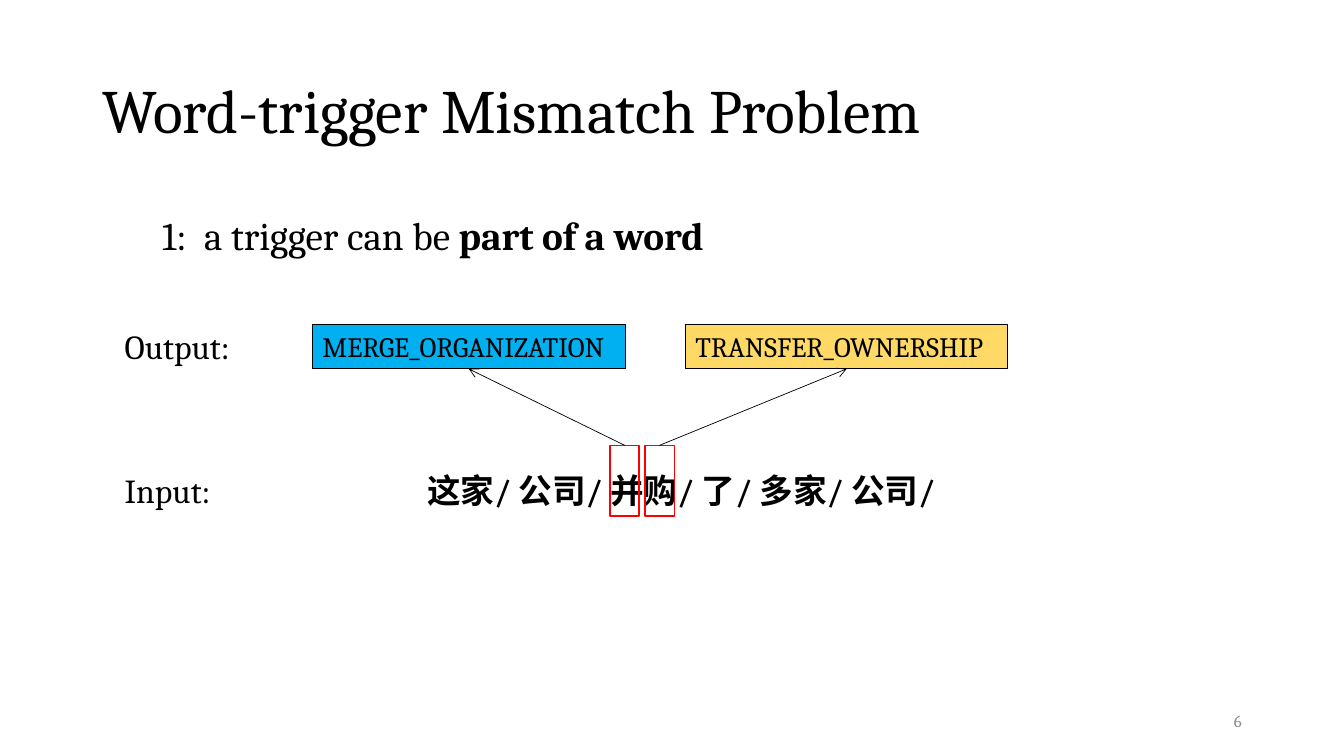
from lxml import etree
from pptx import Presentation
from pptx.dml.color import RGBColor
from pptx.enum.shapes import MSO_CONNECTOR, MSO_SHAPE
from pptx.enum.text import MSO_ANCHOR, PP_ALIGN
from pptx.oxml.ns import qn
from pptx.util import Pt

RECTANGLE = MSO_SHAPE.RECTANGLE
STRAIGHT = MSO_CONNECTOR.STRAIGHT
TOP, MIDDLE = MSO_ANCHOR.TOP, MSO_ANCHOR.MIDDLE
LEFT, RIGHT = PP_ALIGN.LEFT, PP_ALIGN.RIGHT

COLORS = {
    "black": "000000",
    "grey": "8C8C8C",
    "blue": "00B0F0",
    "yellow": "FFD966",
    "red": "FF0000",
}


def color(name):
    return RGBColor.from_string(COLORS[name])


def write(shape, runs, size, ink="black", anchor=TOP, align=LEFT, tab=None):
    """Fill a shape with one paragraph of (text, bold) runs."""
    frame = shape.text_frame
    frame.word_wrap = True
    frame.vertical_anchor = anchor
    paragraph = frame.paragraphs[0]
    paragraph.alignment = align
    if tab:
        properties = paragraph._p.get_or_add_pPr()
        tabs = etree.SubElement(properties, qn("a:tabLst"))
        etree.SubElement(tabs, qn("a:tab"), pos=str(Pt(tab)), algn="l")
    for text, bold in runs:
        run = paragraph.add_run()
        run.text = text
        run.font.color.rgb = color(ink)
        formats = {"name": "Cambria", "size": Pt(size), "bold": bold}
        for attribute, value in formats.items():
            setattr(run.font, attribute, value)
    return paragraph


presentation = Presentation()
presentation.slide_width, presentation.slide_height = Pt(960), Pt(540)
slide = presentation.slides.add_slide(presentation.slide_layouts[6])
shapes = slide.shapes

# Title and page number
title = shapes.add_textbox(Pt(66), Pt(28.8), Pt(828), Pt(104.4))
write(title, [("Word-trigger Mismatch Problem", False)], 44,
      anchor=MIDDLE).line_spacing = 0.9
page_number = shapes.add_textbox(Pt(678), Pt(500.4), Pt(216), Pt(28.8))
write(page_number, [("6", False)], 12, "grey", MIDDLE, RIGHT)

# Statement, then the output and input rows
statement = shapes.add_textbox(Pt(108.7), Pt(147.6), Pt(468.7), Pt(41))
write(statement, [("1:\ta trigger can be ", False), ("part of a word", True)],
      28, tab=30)
output_label = shapes.add_textbox(Pt(82), Pt(229), Pt(98.6), Pt(36))
write(output_label, [("Output:", False)], 24)
input_row = shapes.add_textbox(Pt(82), Pt(332), Pt(671.8), Pt(36))
write(input_row, [("Input:\t", False), ("这家/ 公司/ 并购/ 了/ 多家/ 公司/", True)],
      24, tab=216)

# Event types, each with its trigger frame and arrow
events = [
    # name, fill, box left, box width, frame left, arrow start x, arrow end x
    ("MERGE_ORGANIZATION", "blue", 223.2, 223.9, 435.6, 446.4, 334.8),
    ("TRANSFER_OWNERSHIP", "yellow", 489.6, 230.4, 460.8, 470.9, 604.8),
]
box_top, box_height, frame_top = 231.8, 31.7, 318.2
for name, fill, box_left, box_width, frame_left, start_x, end_x in events:
    box = shapes.add_shape(RECTANGLE, Pt(box_left), Pt(box_top),
                           Pt(box_width), Pt(box_height))
    box.shadow.inherit = False
    box.fill.solid()
    box.fill.fore_color.rgb = color(fill)
    box.line.color.rgb = color("black")
    box.line.width = Pt(0.75)
    write(box, [(name, False)], 20)

    frame = shapes.add_shape(RECTANGLE, Pt(frame_left), Pt(frame_top),
                             Pt(20.9), Pt(50.4))
    frame.shadow.inherit = False
    frame.fill.background()
    frame.line.color.rgb = color("red")
    frame.line.width = Pt(1)

    arrow = shapes.add_connector(STRAIGHT, Pt(start_x), Pt(frame_top),
                                 Pt(end_x), Pt(box_top + box_height))
    arrow.line.color.rgb = color("black")
    arrow.line.width = Pt(0.5)
    etree.SubElement(arrow.line._get_or_add_ln(), qn("a:tailEnd"), type="arrow")
    etree.SubElement(arrow._element.spPr, qn("a:effectLst"))

presentation.save("out.pptx")
